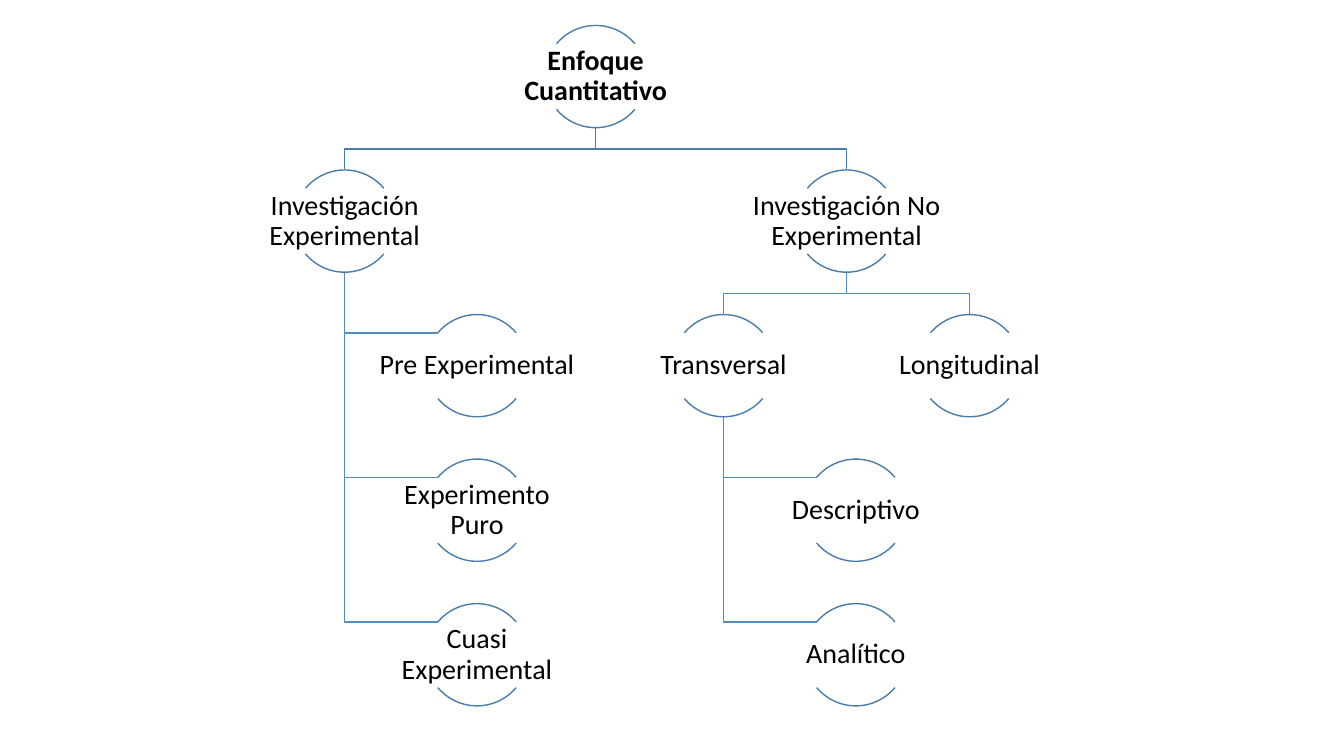
import math
from dataclasses import dataclass

from pptx import Presentation
from pptx.dml.color import RGBColor
from pptx.enum.shapes import MSO_SHAPE
from pptx.enum.text import MSO_ANCHOR, MSO_AUTO_SIZE, PP_ALIGN
from pptx.util import Pt

ARC = MSO_SHAPE.ARC
MIDDLE = MSO_ANCHOR.MIDDLE
NO_AUTOFIT = MSO_AUTO_SIZE.NONE
CENTER = PP_ALIGN.CENTER
TITLE_ONLY = 5


@dataclass(frozen=True)
class Theme:
    font: str = "Calibri"
    size: float = 20
    line_width: float = 1
    text: RGBColor = RGBColor(0x00, 0x00, 0x00)
    main: RGBColor = RGBColor(0x49, 0x7C, 0xAB)
    branch: RGBColor = RGBColor(0x53, 0x8D, 0xC1)


THEME = Theme()

# Geometry in points
DIAMETER = 73
RADIUS = DIAMETER / 2
FIRST_TOP = 18.2
LEVEL_STEP = 103.25
HANG_INDENT = 94.5
ARC_START = 40  # degrees from the horizontal to where each arc begins
ARC_DX = RADIUS * math.cos(math.radians(ARC_START))
ARC_DY = RADIUS * math.sin(math.radians(ARC_START))
ARC_SPANS = ((180 + ARC_START, 360 - ARC_START), (ARC_START, 180 - ARC_START))
ADJ_PER_DEGREE = 0.6  # 60000 angle units per degree over 100000


@dataclass(frozen=True)
class Node:
    text: str
    x: float  # centre
    level: int
    parent: "Node | None" = None
    hangs: bool = False

    @property
    def top(self) -> float:
        return FIRST_TOP + self.level * LEVEL_STEP

    @property
    def middle(self) -> float:
        return self.top + RADIUS

    @property
    def bottom(self) -> float:
        return self.top + DIAMETER


def hanging(parent: Node, *texts: str) -> list[Node]:
    return [Node(text, parent.x + HANG_INDENT, parent.level + i, parent, True)
            for i, text in enumerate(texts, 1)]


# Tree
root = Node("Enfoque Cuantitativo", 425.5, 0)
experimental = Node("Investigación Experimental", 246.2, 1, root)
non_experimental = Node("Investigación No Experimental", 604.7, 1, root)
transversal = Node("Transversal", 516.8, 2, non_experimental)
longitudinal = Node("Longitudinal", 692.6, 2, non_experimental)
NODES = [
    root,
    experimental,
    *hanging(experimental, "Pre Experimental", "Experimento Puro", "Cuasi Experimental"),
    non_experimental,
    transversal,
    *hanging(transversal, "Descriptivo", "Analítico"),
    longitudinal,
]


def set_outline(sp, color: RGBColor) -> None:
    sp.shadow.inherit = False
    sp.fill.background()
    sp.line.color.rgb = color
    sp.line.width = Pt(THEME.line_width)


def write_text(sp, text: str, *, bold: bool = False) -> None:
    tf = sp.text_frame
    tf.word_wrap = True
    tf.auto_size = NO_AUTOFIT
    tf.vertical_anchor = MIDDLE
    tf.margin_left = tf.margin_right = tf.margin_top = tf.margin_bottom = Pt(1)
    p = tf.paragraphs[0]
    p.alignment = CENTER
    p.line_spacing = 0.9
    p.space_before = p.space_after = Pt(0)
    r = p.add_run()
    r.text = text
    r.font.name = THEME.font
    r.font.size = Pt(THEME.size)
    r.font.bold = bold
    r.font.color.rgb = THEME.text


def draw_branch(s, node: Node) -> None:
    parent = node.parent
    start = (parent.x, parent.bottom)
    if node.hangs:
        y = node.middle - ARC_DY
        bends = [(parent.x, y), (node.x - ARC_DX, y)]
    else:
        y = (parent.bottom + node.top) / 2
        bends = [(parent.x, y), (node.x, y), (node.x, node.top)]
    builder = s.shapes.build_freeform(Pt(start[0]), Pt(start[1]))
    builder.add_line_segments([(Pt(x), Pt(y)) for x, y in bends], close=False)
    set_outline(builder.convert_to_shape(), THEME.main if parent is root else THEME.branch)


def draw_node(s, node: Node) -> None:
    for span in ARC_SPANS:
        sp = s.shapes.add_shape(ARC, Pt(node.x - RADIUS), Pt(node.top),
                                Pt(DIAMETER), Pt(DIAMETER))
        for i, angle in enumerate(span):
            sp.adjustments[i] = angle * ADJ_PER_DEGREE
        set_outline(sp, THEME.main)

    # Label between the arcs; the root is the slide title
    box = (Pt(node.x - DIAMETER), Pt(node.middle - ARC_DY), Pt(2 * DIAMETER), Pt(2 * ARC_DY))
    if node is root:
        sp = s.shapes.title
        sp.left, sp.top, sp.width, sp.height = box
    else:
        sp = s.shapes.add_textbox(*box)
    write_text(sp, node.text, bold=node is root)


def main() -> None:
    prs = Presentation()
    prs.slide_width, prs.slide_height = Pt(960), Pt(540)
    s = prs.slides.add_slide(prs.slide_layouts[TITLE_ONLY])

    # Branches lie behind the nodes
    for node in NODES:
        if node.parent:
            draw_branch(s, node)
    for node in NODES:
        draw_node(s, node)
    prs.save("out.pptx")


if __name__ == "__main__":
    main()
